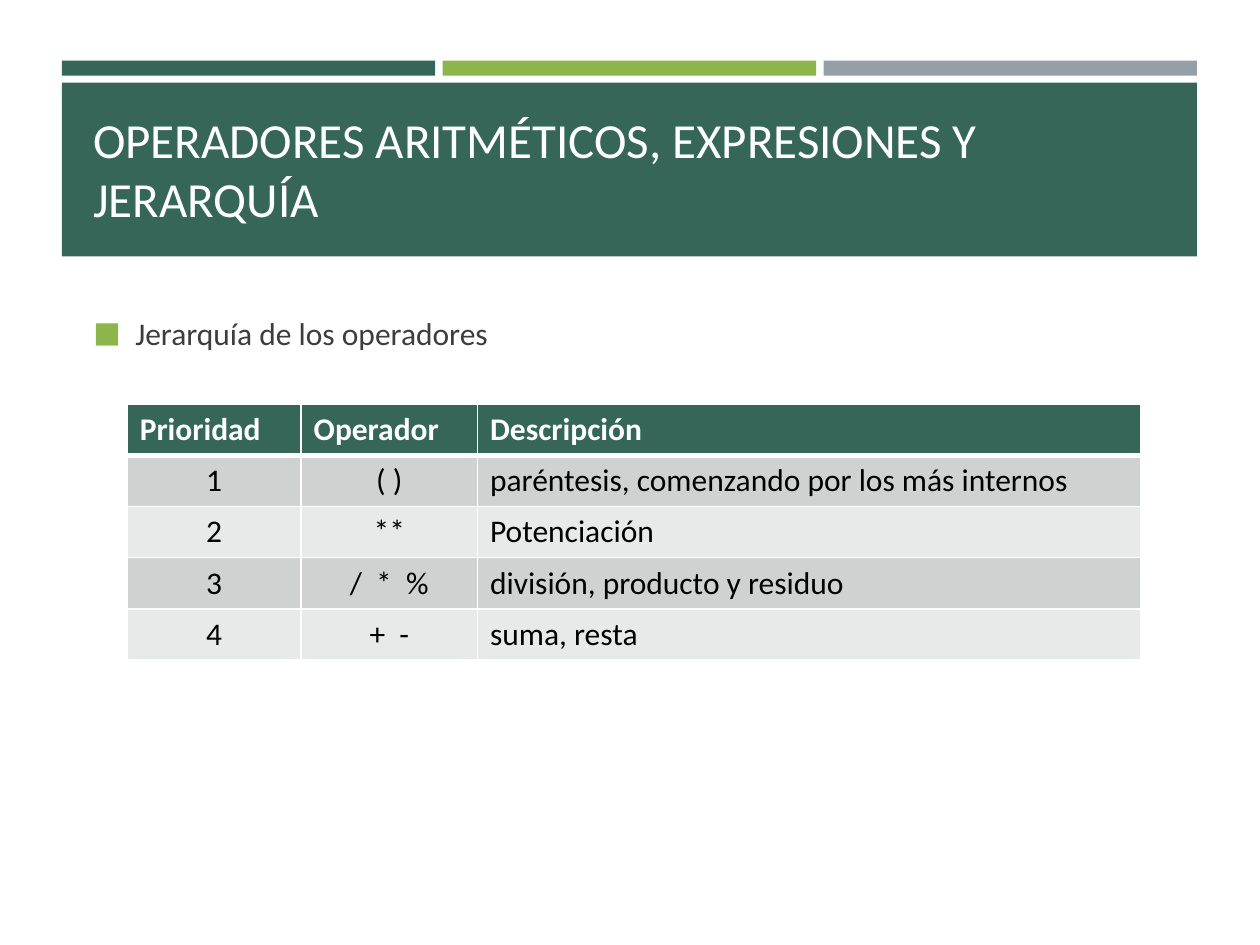
from lxml import etree
from pptx import Presentation
from pptx.dml.color import RGBColor
from pptx.enum.shapes import MSO_SHAPE
from pptx.enum.text import MSO_ANCHOR, MSO_AUTO_SIZE, PP_ALIGN
from pptx.oxml.ns import qn
from pptx.util import Pt

RECTANGLE = MSO_SHAPE.RECTANGLE
TOP, MIDDLE = MSO_ANCHOR.TOP, MSO_ANCHOR.MIDDLE
NO_AUTOFIT = MSO_AUTO_SIZE.NONE
LEFT, CENTER = PP_ALIGN.LEFT, PP_ALIGN.CENTER

FONT = "Calibri"
COLORS = {
    "green": "366658",
    "lime": "8CB64A",
    "gray": "969FA7",
    "white": "FFFFFF",
    "text": "3D3D3D",
    "black": "000000",
    "dark_band": "CED3D1",
    "light_band": "E8EAEA",
}
HEADERS = ["Prioridad", "Operador", "Descripción"]
OPERATORS = [
    ["1", "( )", "paréntesis, comenzando por los más internos"],
    ["2", "**", "Potenciación"],
    ["3", "/  *  %", "división, producto y residuo"],
    ["4", "+  -", "suma, resta"],
]
COLUMN_SHARES = [1.38, 1.4, 5.26]


def rgb(name):
    return RGBColor.from_string(COLORS[name])


def add_run(paragraph, text, size, color, bold=False):
    run = paragraph.add_run()
    run.text = text
    run.font.name = FONT
    run.font.size = Pt(size)
    run.font.bold = bold
    run.font.color.rgb = rgb(color)


def add_rectangle(slide, box, color):
    shape = slide.shapes.add_shape(RECTANGLE, *map(Pt, box))
    shape.shadow.inherit = False
    shape.fill.solid()
    shape.fill.fore_color.rgb = rgb(color)
    shape.line.fill.background()


def add_stripes(slide, box, gap=4.3):
    left, top, width, height = box
    names = ["green", "lime", "gray"]
    stripe_width = (width - gap * (len(names) - 1)) / len(names)
    for index, name in enumerate(names):
        stripe_left = left + index * (stripe_width + gap)
        add_rectangle(slide, (stripe_left, top, stripe_width, height), name)


def place_placeholder(placeholder, box, anchor):
    placeholder.left, placeholder.top, placeholder.width, placeholder.height = map(Pt, box)
    placeholder.element.getparent().append(placeholder.element)
    frame = placeholder.text_frame
    frame.word_wrap = True
    frame.auto_size = NO_AUTOFIT
    frame.vertical_anchor = anchor
    paragraph = frame.paragraphs[0]
    paragraph.alignment = LEFT
    return paragraph


def add_title_banner(slide, box):
    left, top, width, height = box
    add_rectangle(slide, box, "green")
    title_box = (left + 10.8, top + 6.5, width - 19.5, height - 14.4)
    paragraph = place_placeholder(slide.shapes.title, title_box, MIDDLE)
    add_run(paragraph, "OPERADORES ARITMÉTICOS, EXPRESIONES Y JERARQUÍA", 28, "white")


def set_bullet(paragraph, indent):
    properties = paragraph._p.get_or_add_pPr()
    properties.set("marL", str(Pt(indent)))
    properties.set("indent", str(-Pt(indent)))
    color = etree.SubElement(properties, qn("a:buClr"))
    etree.SubElement(color, qn("a:srgbClr"), val=COLORS["lime"])
    etree.SubElement(properties, qn("a:buSzPct"), val="92000")
    etree.SubElement(properties, qn("a:buFont"), typeface=FONT)
    etree.SubElement(properties, qn("a:buChar"), char="■")


def add_body(slide, box):
    paragraph = place_placeholder(slide.placeholders[1], box, TOP)
    paragraph.space_before = Pt(3.6)
    paragraph.space_after = Pt(6)
    set_bullet(paragraph, 24)
    add_run(paragraph, "Jerarquía de los operadores", 18, "text")


def set_borders(cell, top, bottom):
    properties = cell._tc.get_or_add_tcPr()
    for side, width in (("L", 1), ("R", 1), ("T", top), ("B", bottom)):
        line = etree.SubElement(properties, qn(f"a:ln{side}"), w=str(Pt(width)))
        fill = etree.SubElement(line, qn("a:solidFill"))
        etree.SubElement(fill, qn("a:srgbClr"), val=COLORS["white"])


def fill_cell(cell, text, row, column):
    is_header = row == 0
    set_borders(cell, top=3 if row == 1 else 1, bottom=3 if is_header else 1)
    band = "green" if is_header else "dark_band" if row % 2 else "light_band"
    cell.fill.solid()
    cell.fill.fore_color.rgb = rgb(band)
    paragraph = cell.text_frame.paragraphs[0]
    paragraph.alignment = CENTER if not is_header and column < 2 else LEFT
    add_run(paragraph, text, 18, "white" if is_header else "black", is_header)


def add_operator_table(slide, box):
    rows = [HEADERS] + OPERATORS
    width, height = box[2:]
    table = slide.shapes.add_table(len(rows), len(HEADERS), *map(Pt, box)).table
    for column, share in zip(table.columns, COLUMN_SHARES):
        column.width = Pt(width * share / sum(COLUMN_SHARES))
    for row_index, texts in enumerate(rows):
        table.rows[row_index].height = Pt(height / len(rows))
        for column_index, text in enumerate(texts):
            fill_cell(table.cell(row_index, column_index), text, row_index, column_index)


def main():
    presentation = Presentation()
    presentation.slide_width, presentation.slide_height = Pt(720), Pt(540)
    slide = presentation.slides.add_slide(presentation.slide_layouts[1])
    add_stripes(slide, (35.3, 34.7, 648.7, 8.6))
    add_title_banner(slide, (35.3, 47.3, 648.7, 99.2))
    add_body(slide, (46.1, 175.7, 629.2, 285.8))
    add_operator_table(slide, (72.7, 231.1, 578.9, 146))
    presentation.save("out.pptx")


if __name__ == "__main__":
    main()
